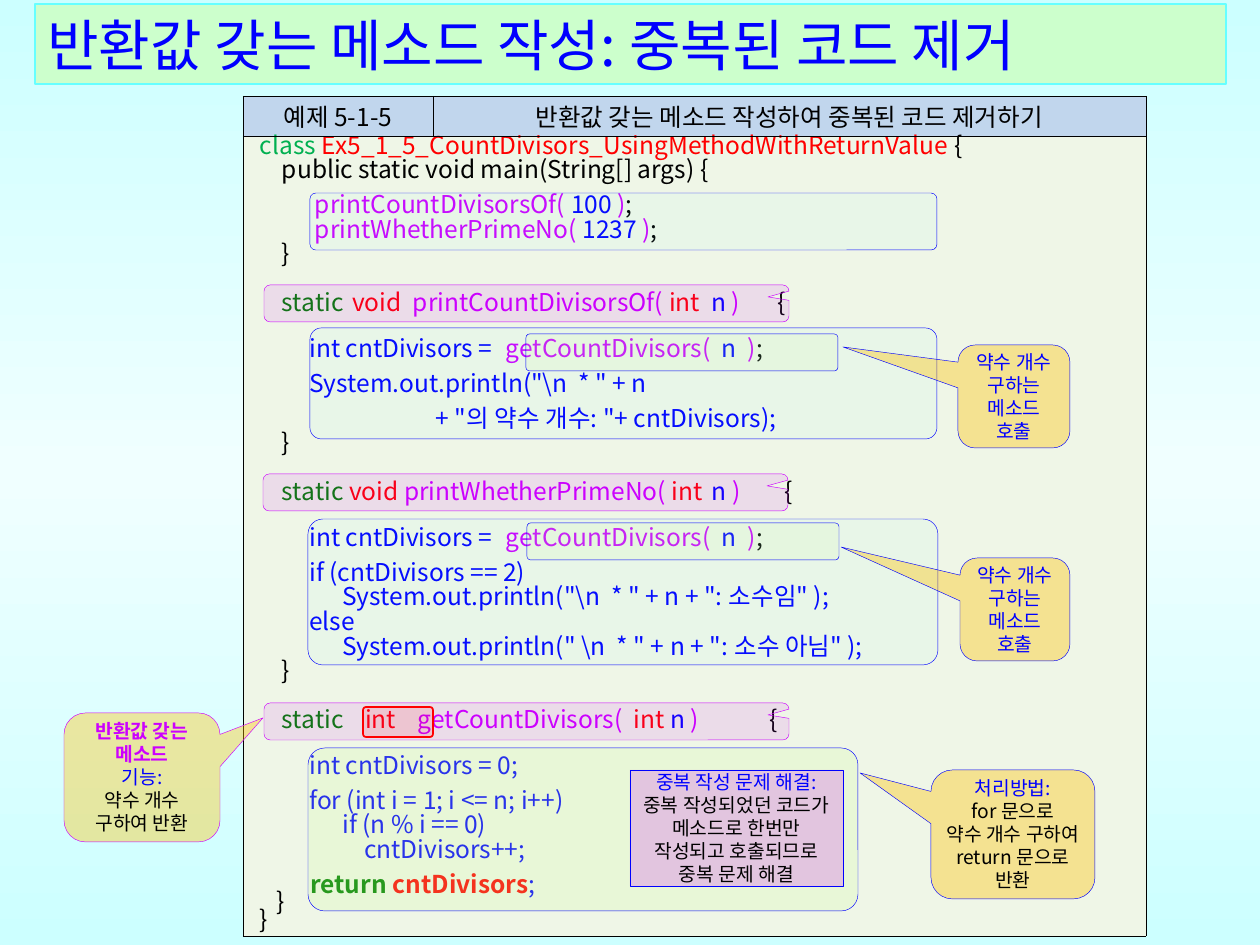
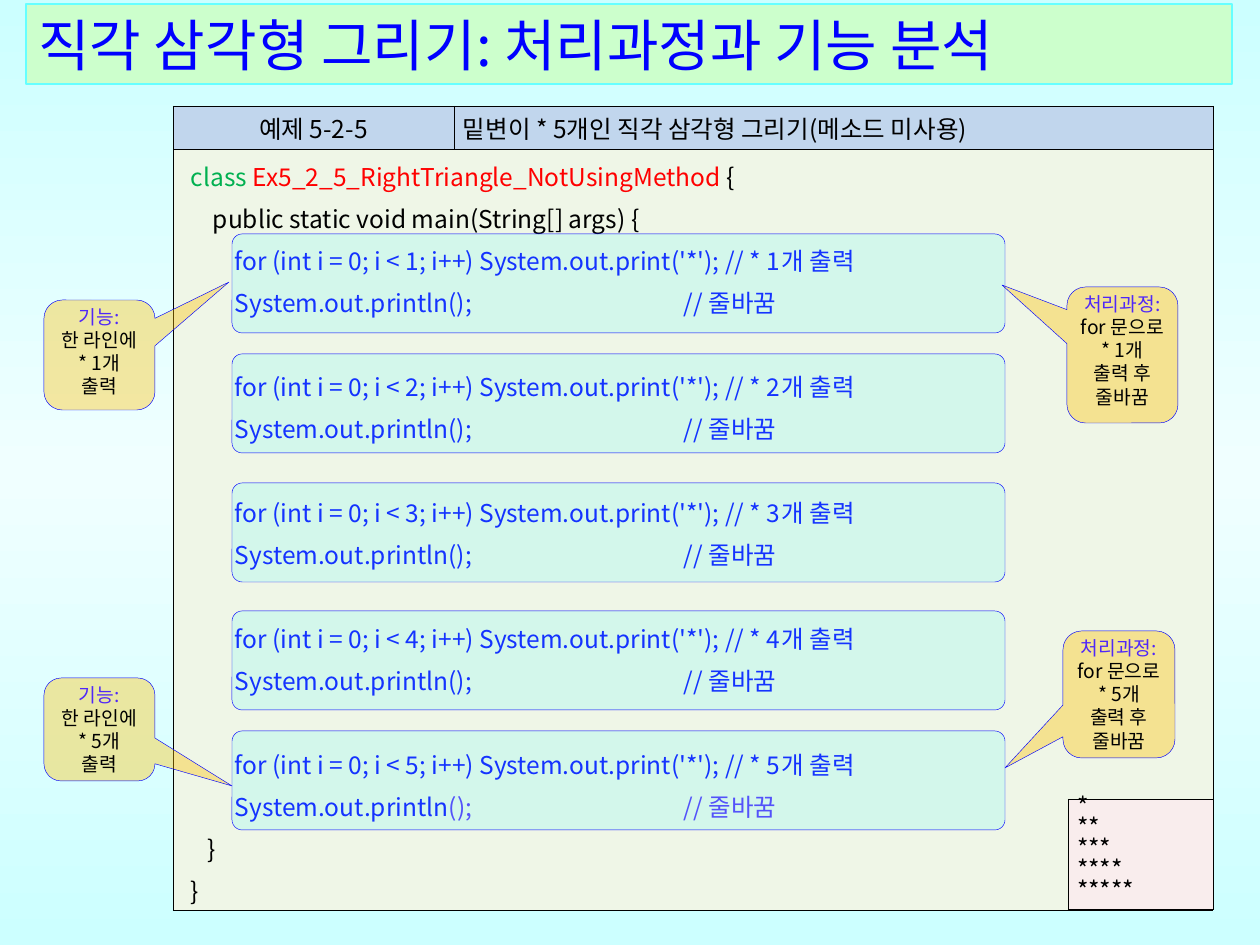
import pptx
import pptx.dml.color
import pptx.enum.shapes
import pptx.enum.text
import pptx.oxml.ns
import pptx.util
from lxml import etree

PX = 914400 / 126
FONT = "Noto Sans CJK KR"
COLOURS = {
    "sky": "CCFFFF", "pale sky": "F0FFFF", "title band": "CCFFCC", "title edge": "66FFFF",
    "header": "C1D6ED", "code": "EFF6E7", "output": "F9EDED",
    "black": "000000", "blue": "0000FF", "red": "FF0000", "magenta": "CC00FF",
    "green": "008000", "bright green": "00B050", "violet": "4F27F9",
    "aqua": "66FFFF", "lime": "CCFF99", "amber": "FFC000",
}
ANCHOR = pptx.enum.text.MSO_ANCHOR
ALIGN = pptx.enum.text.PP_ALIGN
SHAPE = pptx.enum.shapes.MSO_SHAPE
qn = pptx.oxml.ns.qn


def px(length):
    return pptx.util.Emu(round(length * PX))


def rgb(colour):
    return pptx.dml.color.RGBColor.from_string(COLOURS[colour])


def set_all(target, values):
    for name, value in values.items():
        setattr(target, name, value)


def line(*spans, before=0, stops=()):
    """A paragraph: (colour, text) spans, points of space before, tab stops in px."""
    return {"spans": spans, "before": before, "stops": stops}


def lines(colour, *texts):
    return [line((colour, text)) for text in texts]


class Deck:
    """Holds the shared style and the current page."""

    def __init__(self):
        self.deck = pptx.Presentation()
        set_all(self.deck, {"slide_width": px(1260), "slide_height": px(945)})
        self.page = None
        self.paint_background()

    def paint_background(self):
        master = self.deck.slide_master
        fill = master.background.fill
        fill.gradient()
        fill.gradient_angle = 90
        stops = master.element.find(".//" + qn("p:bg")).find(".//" + qn("a:gsLst"))
        for stop in list(stops):
            stops.remove(stop)
        for percent, colour in ((0, "sky"), (50, "pale sky"), (100, "sky")):
            stop = etree.SubElement(stops, qn("a:gs"), pos=str(percent * 1000))
            etree.SubElement(stop, qn("a:srgbClr"), val=COLOURS[colour])

    def new_page(self, title, left, width):
        self.page = self.deck.slides.add_slide(self.deck.slide_layouts[6])
        band = self.box((left, 4, width, 80), "title band", 100, "title edge", 0.75)
        self.put_text(band.text_frame, lines("blue", title), size=32)
        band.text_frame.vertical_anchor = ANCHOR.MIDDLE

    def put_text(self, frame, paragraphs, size=14, align=ALIGN.LEFT, spacing=None):
        for index, content in enumerate(paragraphs):
            para = frame.paragraphs[0] if index == 0 else frame.add_paragraph()
            para.alignment = align
            if spacing:
                para.line_spacing = pptx.util.Pt(content.get("spacing", spacing))
            if content["before"]:
                para.space_before = pptx.util.Pt(content["before"])
            if content["stops"]:
                tabs = etree.SubElement(para._p.get_or_add_pPr(), qn("a:tabLst"))
                for stop in content["stops"]:
                    etree.SubElement(tabs, qn("a:tab"), pos=str(px(stop)), algn="l")
            for colour, text, *bold in content["spans"]:
                span = para.add_run()
                span.text = text
                set_all(span.font, {"size": pptx.util.Pt(size), "name": FONT, "bold": bool(bold)})
                span.font.color.rgb = rgb(colour)
                etree.SubElement(span.font._element, qn("a:ea"), typeface=FONT)

    def box(self, place, fill, opacity, edge="blue", weight=0.25, kind=SHAPE.RECTANGLE):
        box = self.page.shapes.add_shape(kind, *map(px, place))
        box.shadow.inherit = False
        box.fill.solid()
        box.fill.fore_color.rgb = rgb(fill)
        if opacity < 100:
            colour = box.fill._xPr.find(".//" + qn("a:srgbClr"))
            etree.SubElement(colour, qn("a:alpha"), val=str(opacity * 1000))
        box.line.color.rgb = rgb(edge)
        box.line.width = pptx.util.Pt(weight)
        return box

    def frame(self, place, fill, opacity, edge="blue", weight=0.25):
        box = self.box(place, fill, opacity, edge, weight, SHAPE.ROUNDED_RECTANGLE)
        box.adjustments[0] = 0.103

    def callout(self, place, tip, paragraphs=(), fill="amber", opacity=37, edge="blue"):
        """A rounded callout whose pointer ends at tip, a page position in px."""
        left, top, width, height = place
        box = self.box(place, fill, opacity, edge, kind=SHAPE.ROUNDED_RECTANGULAR_CALLOUT)
        box.adjustments[0] = (tip[0] - left) / width - 0.5
        box.adjustments[1] = (tip[1] - top) / height - 0.5
        self.note(box, paragraphs, ANCHOR.TOP)

    def note(self, box, paragraphs, anchor):
        set_all(box.text_frame, {
            "margin_left": 0, "margin_right": 0, "margin_top": 0, "margin_bottom": 0,
            "word_wrap": True, "vertical_anchor": anchor})
        self.put_text(box.text_frame, paragraphs, size=11, align=ALIGN.CENTER)

    def table(self, place, widths, heights):
        shape = self.page.shapes.add_table(len(heights), len(widths), *map(px, place))
        table = shape.table
        set_all(table, {"first_row": False, "horz_banding": False})
        for column, width in zip(table.columns, widths):
            column.width = px(width)
        for row, height in zip(table.rows, heights):
            row.height = px(height)
        return table

    def cell(self, cell, fill, paragraphs, inset, side_margin, align=ALIGN.LEFT, spacing=None):
        set_all(cell, {
            "margin_left": px(inset), "margin_right": px(side_margin), "margin_top": px(1),
            "margin_bottom": px(1), "vertical_anchor": ANCHOR.MIDDLE})
        self.put_text(cell.text_frame, paragraphs, align=align, spacing=spacing)
        self.finish_cell(cell, fill)

    def finish_cell(self, cell, fill):
        cell.fill.solid()
        cell.fill.fore_color.rgb = rgb(fill)
        properties = cell._tc.get_or_add_tcPr()
        for index, side in enumerate(("a:lnL", "a:lnR", "a:lnT", "a:lnB")):
            border = etree.Element(qn(side), w=str(pptx.util.Pt(0.28)))
            solid = etree.SubElement(border, qn("a:solidFill"))
            etree.SubElement(solid, qn("a:srgbClr"), val=COLOURS["black"])
            properties.insert(index, border)

    def example(self, place, widths, heights, heading, code, margin, indent, spacing, subject_align):
        """The listing table: number and subject on top, code across both columns below."""
        table = self.table(place, widths, heights)
        for column, (text, align) in enumerate(zip(heading, (ALIGN.CENTER, subject_align))):
            self.cell(table.cell(0, column), "header", lines("black", text), margin, margin, align)
        table.cell(1, 0).merge(table.cell(1, 1))
        self.cell(table.cell(1, 0), "code", code, margin + indent, margin, spacing=spacing)
        self.finish_cell(table.cell(1, 1), "code")


def class_line(name):
    return line(("bright green", "class "), ("red", name), ("black", " {"))


def divisor_code():
    count_call = line(
        ("blue", "         int cntDivisors =\t"), ("magenta", "getCountDivisors(\t"),
        ("blue", "n\t"), ("magenta", ")"), ("black", ";"), before=12, stops=(246, 462, 488))
    code = [
        class_line("Ex5_1_5_CountDivisors_UsingMethodWithReturnValue"),
        line(("black", "    public static void main(String[] args) {"))]
    for name, number, before in (("printCountDivisorsOf", 100, 6), ("printWhetherPrimeNo", 1237, 0)):
        code.append(line(("magenta", f"          {name}( "), ("blue", f"{number} "),
                         ("magenta", ")"), ("black", ";"), before=before))
    close = line(("black", "    }"))
    code += [
        close,
        line(("green", "    static\t"), ("red", "void\t"), ("magenta", "printCountDivisorsOf( "),
             ("red", "int\t"), ("blue", "n "), ("magenta", ")\t"), ("black", "{"),
             before=14, stops=(92, 153, 451, 518)),
        count_call,
        line(("blue", '         System.out.println("\\n  * " + n'), before=6),
        line(("blue", '                                + "의 약수 개수: "+ cntDivisors);'), before=6),
        close,
        line(("green", "    static "), ("red", "void "), ("magenta", "printWhetherPrimeNo( "),
             ("red", "int\t"), ("blue", "n "), ("magenta", ")\t"), ("black", "{"),
             before=14, stops=(452, 525)),
        count_call,
        line(("blue", "         if (cntDivisors == 2)"), before=6),
        *lines("blue",
               '               System.out.println("\\n  * " + n + ": 소수임" );',
               "         else",
               '               System.out.println(" \\n  * " + n + ": 소수 아님" );'),
        close,
        line(("green", "    static\t"), ("red", "int\t"), ("magenta", "getCountDivisors(\t"),
             ("red", "int "), ("blue", "n "), ("magenta", ")\t"), ("black", "{"),
             before=14, stops=(105, 158, 374, 510)),
        line(("blue", "         int cntDivisors = 0;"), before=12),
        line(("blue", "         for (int i = 1; i <= n; i++)"), before=6),
        *lines("blue", "               if (n % i == 0)", "                   cntDivisors++;"),
        line(("green", "         return ", True), ("red", "cntDivisors", True), ("blue", ";"), before=6),
        {**line(("black", "   }")), "spacing": 10},
        {**line(("black", "}")), "spacing": 10}]
    return code


def build_divisor_page(deck):
    deck.new_page("반환값 갖는 메소드 작성: 중복된 코드 제거", 35, 1191)
    deck.example((243, 96, 903, 840), (190, 713), (40, 800),
                 ("예제 5-1-5", "반환값 갖는 메소드 작성하여 중복된 코드 제거하기"),
                 divisor_code(), 4, 13, 14, ALIGN.CENTER)
    for left, top in ((263, 474), (264, 285), (264, 703)):
        deck.callout((left, top, 525, 37), (left + 504, top + 12),
                     fill="magenta", opacity=10, edge="magenta")
    for body in ((310, 193, 627, 57), (308, 519, 630, 146), (310, 328, 627, 111)):
        deck.frame(body, "aqua", 5)
    deck.frame((308, 748, 550, 163), "lime", 20)
    for call in ((526, 334, 312, 37), (527, 523, 312, 37)):
        deck.frame(call, "lime", 10)
    deck.frame((363, 707, 70, 30), "red", 10, "red", 1)

    deck.callout((931, 770, 164, 129), (860, 773), lines("blue", "처리방법:") + lines(
        "black", "for 문으로", "약수 개수 구하여", "return 문으로", "반환"))
    deck.callout((64, 713, 156, 129), (263, 718), [
        line(("magenta", "반환값 갖는", True)), line(("magenta", "메소드", True)),
        *lines("blue", "기능:"), *lines("black", "약수 개수", "구하여 반환")], edge="magenta")
    for place, tip in (((958, 345, 112, 103), (843, 347)), ((960, 558, 110, 103), (841, 547))):
        deck.callout(place, tip, lines("blue", "약수 개수", "구하는", "메소드", "호출"))
    solution = deck.box((630, 770, 213, 116), "magenta", 20)
    deck.note(solution, lines("blue", "중복 작성 문제 해결:") + lines(
        "black", "중복 작성되었던 코드가", "메소드로 한번만", "작성되고 호출되므로", "중복 문제 해결"),
        ANCHOR.MIDDLE)


def triangle_code():
    code = [class_line("Ex5_2_5_RightTriangle_NotUsingMethod"),
            line(("black", "    public static void main(String[] args) {"))]
    for count in range(1, 6):
        ending = "violet" if count == 5 else "blue"
        code += [
            line(("blue", f"        for (int i = 0; i < {count}; i++) "
                          f"System.out.print('*'); // * {count}개 출력"),
                 before=24 if count > 1 else 0),
            line(("blue", "        System.out.println"), (ending, "();\t// 줄바꿈"), stops=(493,))]
    return code + lines("black", "   }", "}")


def build_triangle_page(deck):
    deck.new_page("직각 삼각형 그리기: 처리과정과 기능 분석", 26, 1206)
    deck.example((173, 106, 1040, 804), (281, 759), (43, 761),
                 ("예제 5-2-5", "밑변이 * 5개인 직각 삼각형 그리기(메소드 미사용)"),
                 triangle_code(), 9, 9, 24, ALIGN.LEFT)
    output = deck.table((1068, 799, 145, 110), (145,), (110,))
    stars = lines("black", *("*" * count for count in range(1, 6)))
    deck.cell(output.cell(0, 0), "output", stars, 9, 9, spacing=12)
    for top in (234, 354, 483, 611, 731):
        deck.frame((232, top, 773, 99), "aqua", 20)
    for count, place, tip in ((1, (1067, 287, 111, 136), (1002, 285)),
                              (5, (1063, 631, 112, 127), (1005, 768))):
        deck.callout(place, tip, lines("violet", "처리과정:") + lines(
            "black", "for 문으로", f"* {count}개", "출력 후", "줄바꿈"))
    for count, place, tip in ((1, (44, 300, 111, 110), (229, 282)),
                              (5, (44, 678, 111, 103), (232, 786))):
        deck.callout(place, tip, lines("violet", "기능:") + lines(
            "black", "한 라인에", f"* {count}개", "출력"))


def main():
    deck = Deck()
    build_divisor_page(deck)
    build_triangle_page(deck)
    deck.deck.save("out.pptx")


if __name__ == "__main__":
    main()
